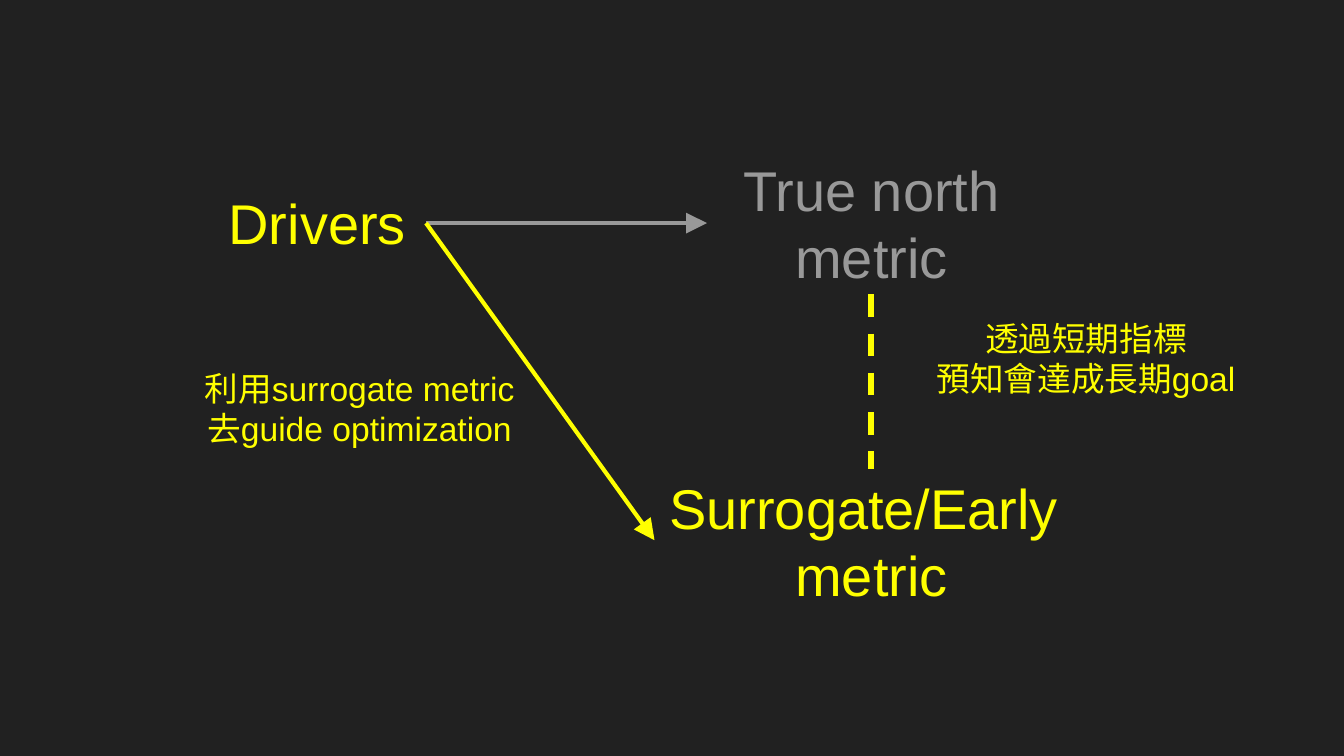
from lxml import etree
from pptx import Presentation
from pptx.dml.color import RGBColor
from pptx.enum import dml, shapes, text
from pptx.oxml.ns import qn
from pptx.util import Inches, Pt

BACKGROUND = RGBColor(0x21, 0x21, 0x21)
YELLOW = RGBColor(0xFF, 0xFF, 0x00)
GRAY = RGBColor(0x99, 0x99, 0x99)
FONT = "Arial"


def add_label(s, x, y, w, h, lines, size, color):
    tf = s.shapes.add_textbox(Inches(x), Inches(y), Inches(w), Inches(h)).text_frame
    tf.word_wrap = True
    tf.vertical_anchor = text.MSO_ANCHOR.MIDDLE
    tf.margin_left = tf.margin_right = tf.margin_top = tf.margin_bottom = Inches(0.1)
    tf.text = "\n".join(lines)
    for p in tf.paragraphs:
        p.alignment = text.PP_ALIGN.CENTER
        p.font.name = FONT
        p.font.size = Pt(size)
        p.font.color.rgb = color


def add_line(s, start, end, color, width, arrow=True):
    line = s.shapes.add_connector(
        shapes.MSO_CONNECTOR.STRAIGHT, *(Inches(v) for v in start + end))
    line.line.color.rgb = color
    line.line.width = Pt(width)
    if arrow:
        ln = line.line._get_or_add_ln()
        etree.SubElement(ln, qn("a:tailEnd"), type="triangle", w="lg", len="lg")
    else:
        line.line.dash_style = dml.MSO_LINE.DASH
    etree.SubElement(line._element.spPr, qn("a:effectLst"))


def add_metric_diagram(s, left, top):
    labels = [
        (0.26, 0.16, 1.64, 0.75, ["Drivers"], 30, YELLOW),
        (3.98, 0, 2.45, 1.07, ["True north", "metric"], 30, GRAY),
        (3.59, 2.37, 3.23, 1.07, ["Surrogate/Early ", "metric"], 30, YELLOW),
        (5.34, 1.18, 2.92, 0.73, ["透過短期指標", "預知會達成長期goal"], 18, YELLOW),
        (0, 1.55, 2.79, 0.73,
         ["利用surrogate metric", "去guide optimization"], 18, YELLOW),
    ]
    for x, y, *rest in labels:
        add_label(s, left + x, top + y, *rest)

    drivers = (left + 1.89, top + 0.54)
    north_side = (left + 3.98, top + 0.54)
    surrogate_side = (left + 3.59, top + 2.9)
    north_bottom = (left + 5.2, top + 1.07)
    surrogate_top = (left + 5.2, top + 2.37)
    add_line(s, drivers, north_side, GRAY, 2.25)
    add_line(s, north_bottom, surrogate_top, YELLOW, 3, arrow=False)
    add_line(s, drivers, surrogate_side, YELLOW, 2.25)


def main():
    prs = Presentation()
    prs.slide_width = Inches(10)
    prs.slide_height = prs.slide_width * 9 // 16
    s = prs.slides.add_slide(prs.slide_layouts[6])
    s.background.fill.solid()
    s.background.fill.fore_color.rgb = BACKGROUND
    add_metric_diagram(s, 1.28, 1.12)
    prs.save("out.pptx")


if __name__ == "__main__":
    main()
